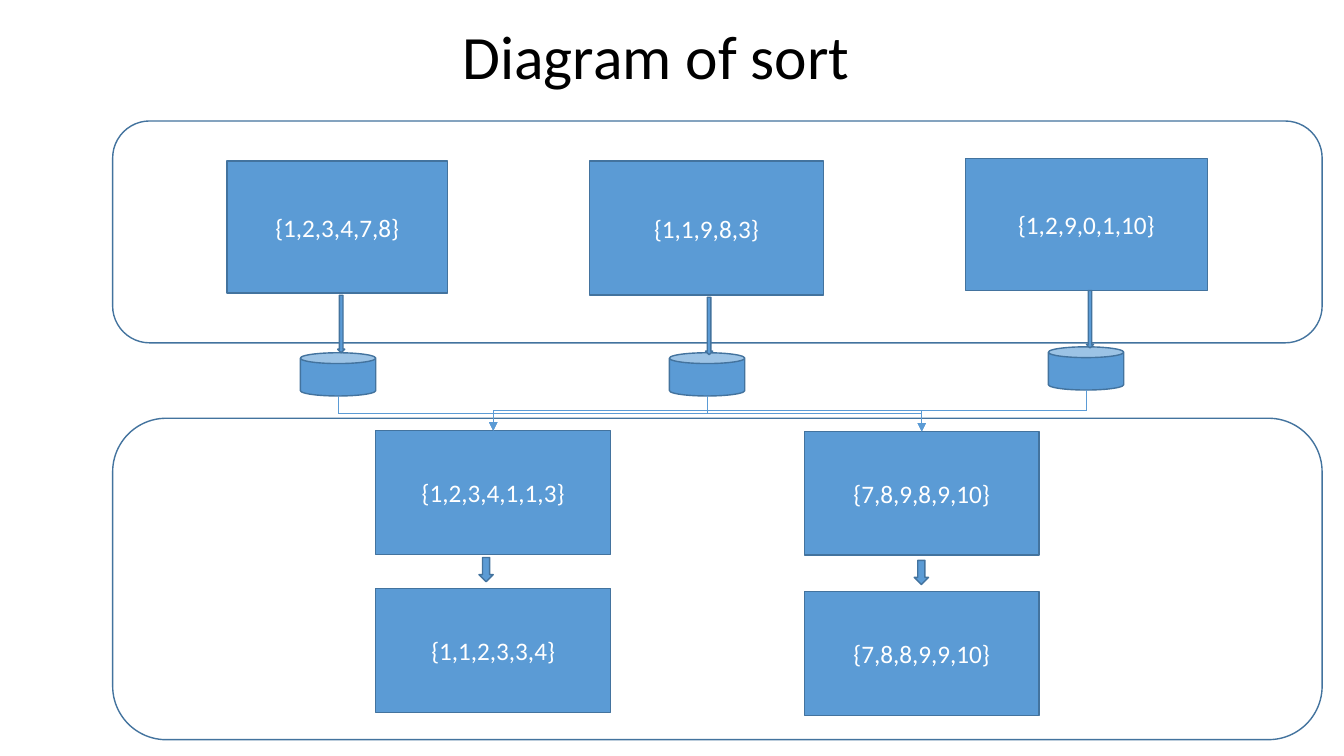
from lxml import etree
from pptx import Presentation
from pptx.dml.color import RGBColor
from pptx.enum.shapes import MSO_CONNECTOR, MSO_SHAPE
from pptx.enum.text import MSO_ANCHOR, PP_ALIGN
from pptx.oxml.ns import qn
from pptx.util import Cm, Pt

RECT = MSO_SHAPE.RECTANGLE
ROUND = MSO_SHAPE.ROUNDED_RECTANGLE
CAN = MSO_SHAPE.CAN
DOWN = MSO_SHAPE.DOWN_ARROW
ELBOW = MSO_CONNECTOR.ELBOW
CENTER = PP_ALIGN.CENTER
MIDDLE = MSO_ANCHOR.MIDDLE

BLUE, EDGE, WHITE, BLACK = "5B9BD5", "43739E", "FFFFFF", "000000"
FONT = "Calibri"

PANELS = [(2.84, 3.05, 30.48, 5.59), (2.84, 10.54, 30.48, 8.1)]
INPUTS = [
    ("{1,2,3,4,7,8}", 5.72, 4.06, 5.56, 3.33),
    ("{1,1,9,8,3}", 14.86, 4.06, 5.89, 3.38),
    ("{1,2,9,0,1,10}", 24.33, 3.99, 6.1, 3.33),
]
FEEDS = [(8.51, 7.44), (17.78, 7.49), (27.38, 7.32)]
STORES = [(7.57, 8.89), (16.87, 8.89), (26.42, 8.74)]
SORTS = [
    (9.47, "{1,2,3,4,1,1,3}", 10.85, "{1,1,2,3,3,4}", 14.83, (12.07, 14.05)),
    (20.27, "{7,8,9,8,9,10}", 10.87, "{7,8,8,9,9,10}", 14.91, (23.04, 14.12)),
]
SORT_W, SORT_H = 5.92, 3.12
STORE_W, STORE_H = 1.9, 1.09


def paint(part, color):
    """Set a fill, line or font colour from a hex string."""
    part.rgb = RGBColor.from_string(color)


def write(frame, text, size, color):
    """Write one centred run into a text frame."""
    frame.word_wrap = True
    frame.vertical_anchor = MIDDLE
    para = frame.paragraphs[0]
    para.alignment = CENTER
    run = para.add_run()
    run.text = text
    run.font.name = FONT
    run.font.size = Pt(size)
    paint(run.font.color, color)
    return para


def add_title(slide, text):
    """Add the slide title, set slightly left of centre."""
    box = slide.shapes.add_textbox(Cm(0), Cm(0), Cm(33.53), Cm(3))
    box.text_frame.margin_right = Cm(0.7)
    write(box.text_frame, text, 44, BLACK).line_spacing = 0.9


def add_block(slide, kind, left, top, width, height, fill=BLUE):
    """Add an outlined preset shape, hollow when fill is None."""
    shape = slide.shapes.add_shape(kind, Cm(left), Cm(top), Cm(width), Cm(height))
    shape.shadow.inherit = False
    if fill:
        shape.fill.solid()
        paint(shape.fill.fore_color, fill)
    else:
        shape.fill.background()
    paint(shape.line.color, EDGE)
    shape.line.width = Pt(1)
    return shape


def add_list(slide, text, *area):
    """Add a box that holds one list of numbers."""
    write(add_block(slide, RECT, *area).text_frame, text, 18, WHITE)


def add_wire(slide, x1, y1, x2, y2):
    """Add an elbow arrow that leaves downwards and arrives downwards."""
    mid_x, mid_y = (x1 + x2) / 2, (y1 + y2) / 2
    drop, reach = (y2 - y1) / 2, abs(x2 - x1) / 2
    right = x2 > x1
    side = drop if right else -drop
    wire = slide.shapes.add_connector(
        ELBOW, Cm(mid_x + side), Cm(mid_y - reach), Cm(mid_x - side), Cm(mid_y + reach))
    props = wire._element.spPr
    props.find(qn("a:xfrm")).set("rot", str((270 if right else 90) * 60000))
    paint(wire.line.color, BLUE)
    wire.line.width = Pt(0.5)
    line = props.find(qn("a:ln"))
    etree.SubElement(line, qn("a:tailEnd"), type="triangle")
    etree.SubElement(props, qn("a:effectLst"))


def main():
    """Build the sort diagram and save it."""
    deck = Presentation()
    deck.slide_width, deck.slide_height = Cm(33.87), Cm(19.05)
    slide = deck.slides.add_slide(deck.slide_layouts[6])
    add_title(slide, "Diagram of sort")
    for area in PANELS:
        add_block(slide, ROUND, *area, fill=None)
    for item in INPUTS:
        add_list(slide, *item)
    for left, merged, top, final, low, arrow in SORTS:
        add_list(slide, merged, left, top, SORT_W, SORT_H)
        add_list(slide, final, left, low, SORT_W, SORT_H)
        add_block(slide, DOWN, *arrow, 0.36, 0.61)
    for left, top in STORES:
        add_block(slide, CAN, left, top, STORE_W, STORE_H)
        for goal, _, goal_top, *_ in SORTS:
            add_wire(slide, left + STORE_W / 2, top + STORE_H,
                     goal + SORT_W / 2, goal_top)
    for left, top in FEEDS:
        add_block(slide, DOWN, left, top, 0.18, 1.45)
    deck.save("out.pptx")


main()
